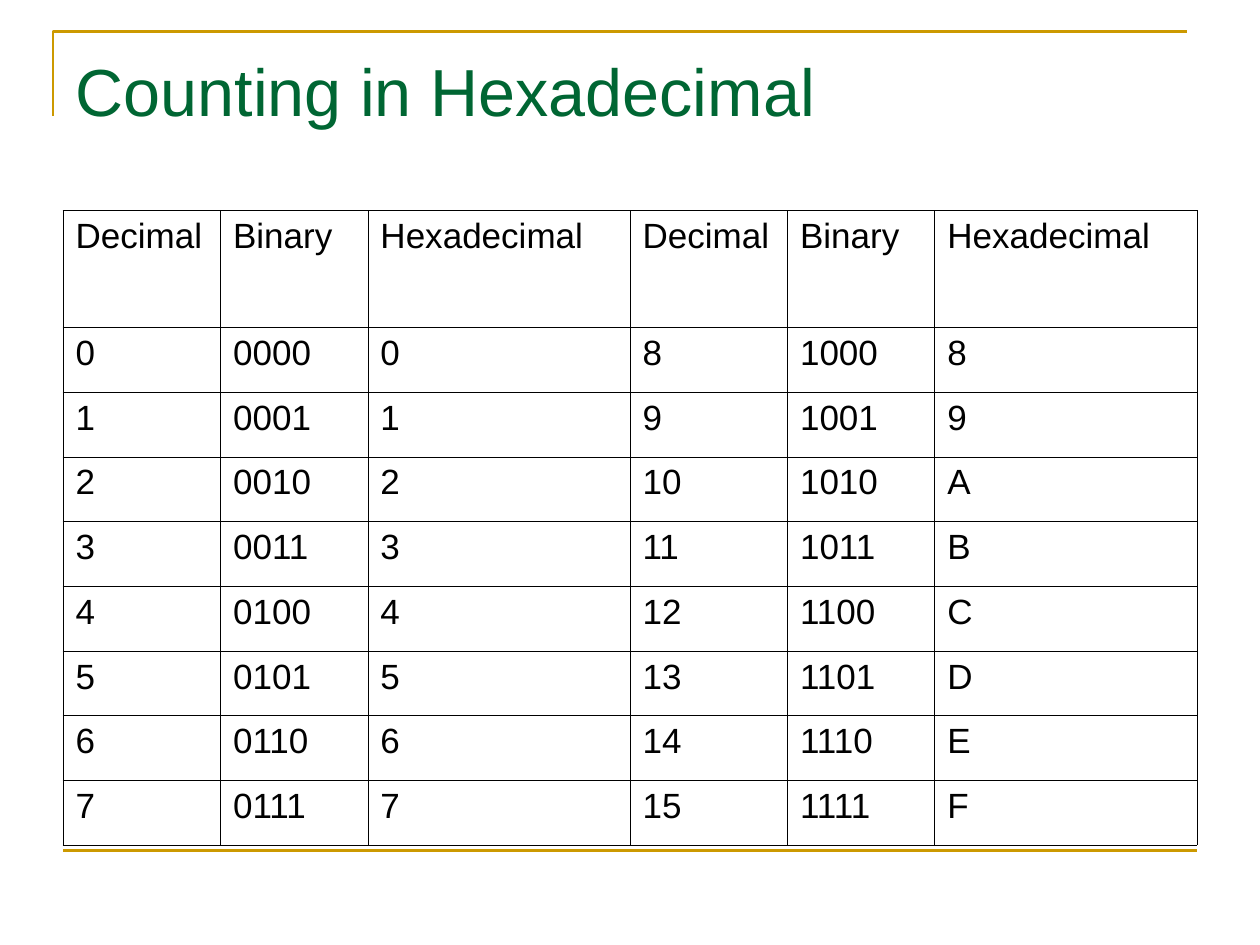
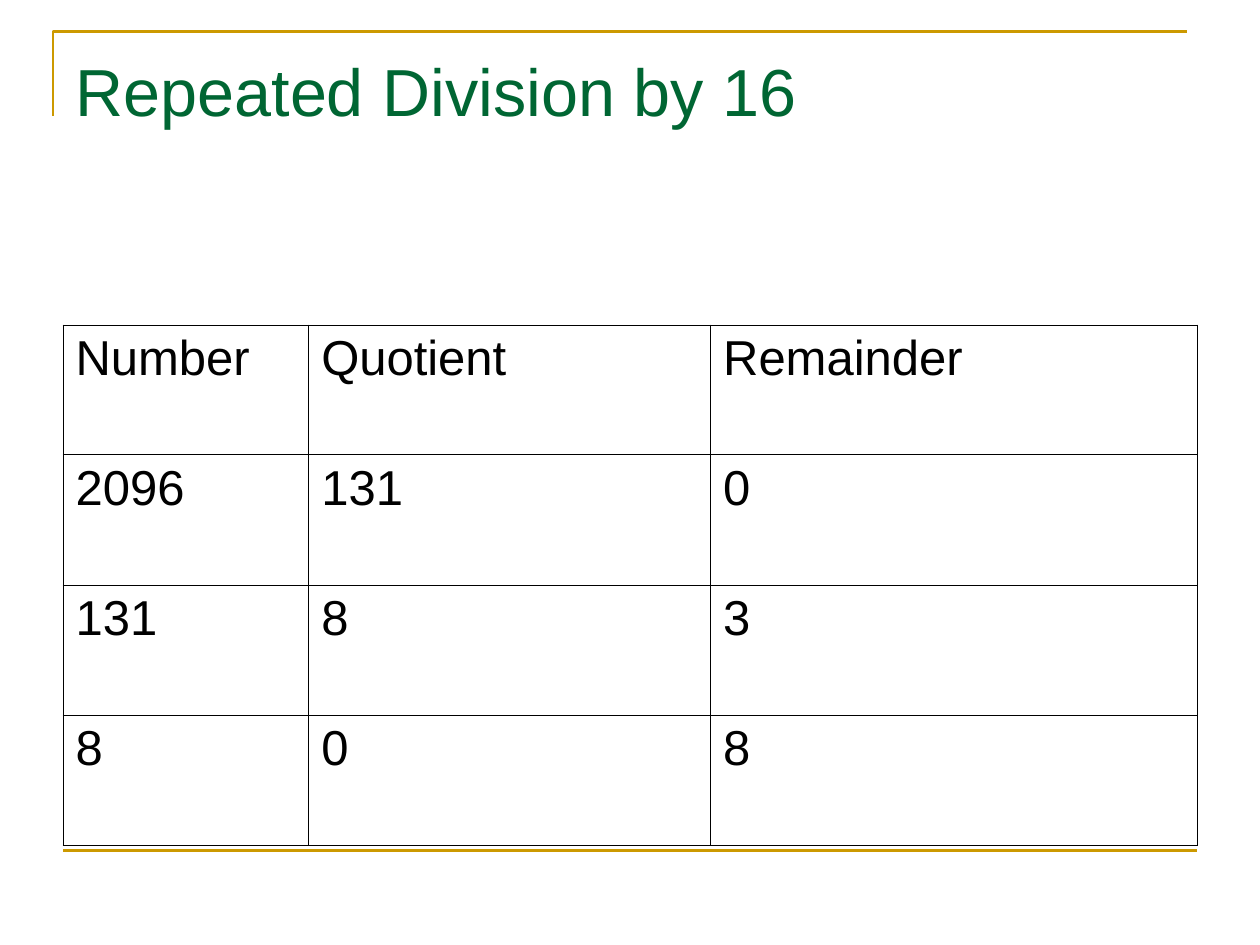
import dataclasses

import pptx
import pptx.dml.color
import pptx.enum.text
import pptx.oxml
import pptx.oxml.ns
import pptx.util

Inches = pptx.util.Inches
Pt = pptx.util.Pt


@dataclasses.dataclass(frozen=True)
class Theme:
    font: str = "Arial"
    title_color: str = "006633"
    text_color: str = "000000"
    rule_color: str = "CC9900"
    title_size: float = 38
    dense_size: float = 20
    large_size: float = 28
    rule_width: float = 1.5
    border_width: float = 0.45


THEME = Theme()
LEFT, WIDTH = 0.5, 9
TABLE_BOTTOM = 6.71
HANGING_INDENT = 0.38


def rgb(value):
    return pptx.dml.color.RGBColor.from_string(value)


def set_attributes(target, values):
    for name, value in values.items():
        setattr(target, name, value)


def format_font(font, size, color):
    set_attributes(font, {"name": THEME.font, "size": Pt(size), "bold": False})
    font.color.rgb = rgb(color)


def format_rule(sp):
    sp.line.color.rgb = rgb(THEME.rule_color)
    sp.line.width = Pt(THEME.rule_width)
    sp._element.spPr.append(pptx.oxml.parse_xml(
        f"<a:effectLst {pptx.oxml.ns.nsdecls('a')}/>"))


def add_rules_to_layout(slide, layout):
    """Draw the corner and bottom rules, then move them to the shared layout."""
    builder = slide.shapes.build_freeform(Inches(0.42), Inches(0.92))
    builder.add_line_segments(
        [(Inches(0.42), Inches(0.25)), (Inches(9.42), Inches(0.25))], close=False)
    corner = builder.convert_to_shape()
    corner.fill.background()
    bottom = slide.shapes.add_connector(
        pptx.enum.shapes.MSO_CONNECTOR.STRAIGHT,
        Inches(LEFT), Inches(6.75), Inches(LEFT + WIDTH), Inches(6.75))
    for sp in (corner, bottom):
        format_rule(sp)
        layout.shapes._spTree.append(sp._element)


def add_title(slide, text):
    sp = slide.shapes.title
    set_attributes(sp, {"left": Inches(LEFT), "top": Inches(0.3),
                        "width": Inches(WIDTH), "height": Inches(1.25)})
    tf = sp.text_frame
    set_attributes(tf, {"word_wrap": True, "margin_top": Inches(0.1),
                        "auto_size": pptx.enum.text.MSO_AUTO_SIZE.NONE,
                        "vertical_anchor": pptx.enum.text.MSO_ANCHOR.TOP})
    p = tf.paragraphs[0]
    p.alignment = pptx.enum.text.PP_ALIGN.LEFT
    r = p.add_run()
    r.text = text
    format_font(r.font, THEME.title_size, THEME.title_color)


def add_cell_borders(cell):
    """Insert the four border lines ahead of the fill, as the schema requires."""
    properties = cell._tc.get_or_add_tcPr()
    for index, side in enumerate("LRTB"):
        properties.insert(index, pptx.oxml.parse_xml(
            f"<a:ln{side} {pptx.oxml.ns.nsdecls('a')} w='{Pt(THEME.border_width)}'>"
            f"<a:solidFill><a:srgbClr val='{THEME.text_color}'/></a:solidFill>"
            f"</a:ln{side}>"))


def fill_cell(cell, text, size):
    cell.fill.background()
    add_cell_borders(cell)
    p = cell.text_frame.paragraphs[0]
    p.alignment = pptx.enum.text.PP_ALIGN.JUSTIFY
    indent = Inches(HANGING_INDENT)
    properties = p._p.get_or_add_pPr()
    properties.set("marL", str(indent))
    properties.set("indent", str(-indent))
    r = p.add_run()
    r.text = text
    format_font(r.font, size, THEME.text_color)


def add_grid_table(slide, rows, column_widths, top, header_height, size):
    height = TABLE_BOTTOM - top
    body_height = (height - header_height) / (len(rows) - 1)
    table = slide.shapes.add_table(
        len(rows), len(column_widths), Inches(LEFT), Inches(top),
        Inches(WIDTH), Inches(height)).table
    set_attributes(table, {"first_row": False, "horz_banding": False})
    for column, width in zip(table.columns, column_widths):
        column.width = Inches(width)
    for index, (row, values) in enumerate(zip(table.rows, rows)):
        row.height = Inches(body_height if index else header_height)
        for cell, text in zip(row.cells, values):
            fill_cell(cell, text, size)


def counting_rows():
    """Pair each number from 0 to 7 with the one eight above it."""
    def notations(n):
        return [str(n), f"{n:04b}", f"{n:X}"]

    header = ["Decimal", "Binary", "Hexadecimal"] * 2
    return [header] + [notations(n) + notations(n + 8) for n in range(8)]


def division_rows(number, base):
    rows = [["Number", "Quotient", "Remainder"]]
    while number:
        quotient, remainder = divmod(number, base)
        rows.append([str(number), str(quotient), str(remainder)])
        number = quotient
    return rows


def main():
    prs = pptx.Presentation()
    set_attributes(prs, {"slide_width": Inches(10), "slide_height": Inches(7.5)})
    layout = prs.slide_layouts[5]

    counting = prs.slides.add_slide(layout)
    add_rules_to_layout(counting, layout)
    add_title(counting, "Counting in Hexadecimal")
    add_grid_table(counting, counting_rows(), [1.25, 1.17, 2.08] * 2,
                   top=1.67, header_height=0.93, size=THEME.dense_size)

    division = prs.slides.add_slide(layout)
    add_title(division, "Repeated Division by 16")
    add_grid_table(division, division_rows(2096, 16), [1.95, 3.19, 3.86],
                   top=2.58, header_height=1.03, size=THEME.large_size)

    prs.save("out.pptx")


if __name__ == "__main__":
    main()
